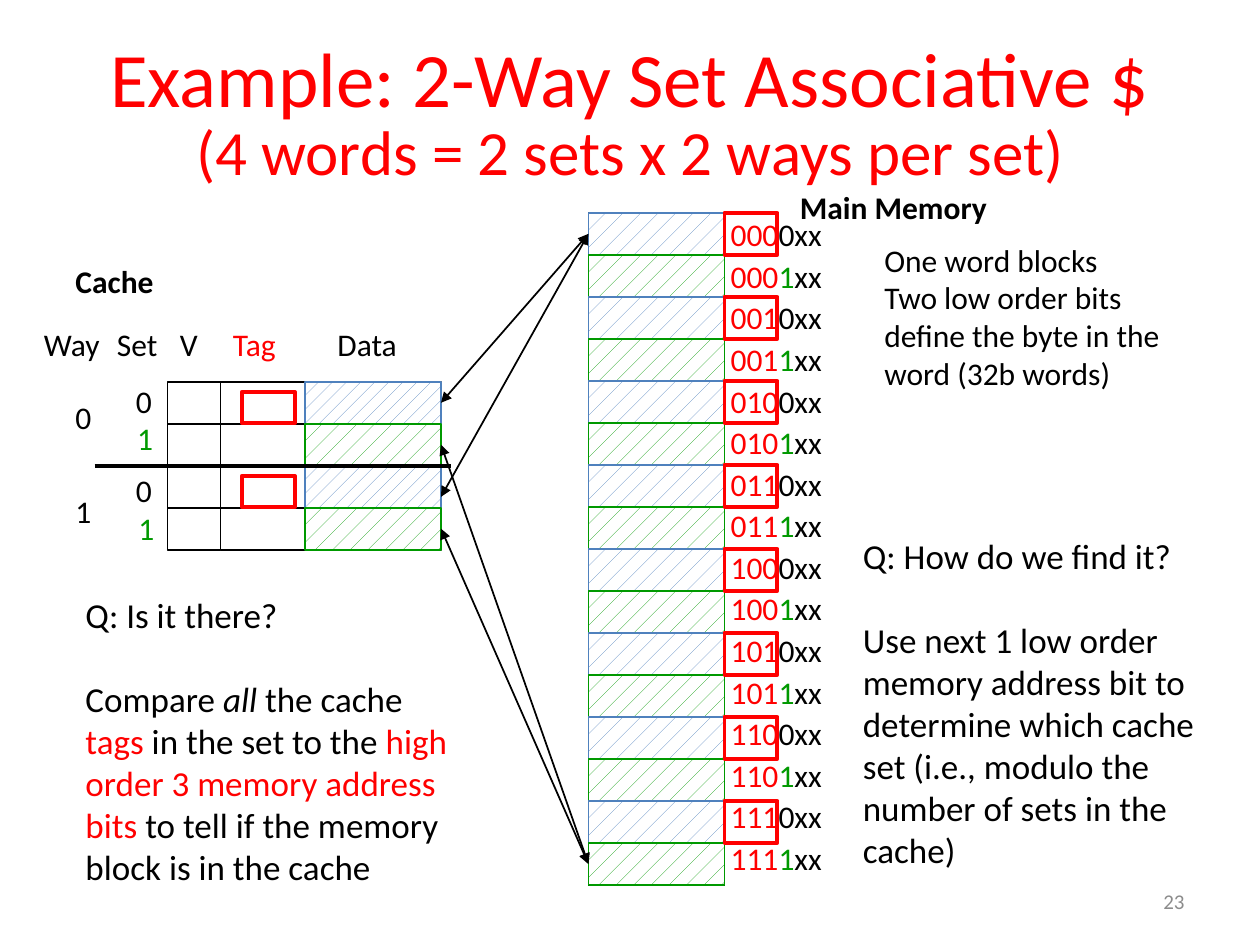
from lxml.etree import SubElement
from pptx import Presentation
from pptx.dml.color import RGBColor
from pptx.enum.dml import MSO_PATTERN
from pptx.enum.shapes import MSO_CONNECTOR, MSO_SHAPE
from pptx.enum.text import MSO_ANCHOR, MSO_AUTO_SIZE, PP_ALIGN
from pptx.oxml.ns import qn
from pptx.util import Inches, Pt

BLACK, RED, GREEN, BLUE, GRAY = "000000", "FF0000", "009900", "4F81BD", "8C8C8C"
FONT = "Calibri"

# Content: a run is a string, or a tuple of string, colour and italic
TITLE = [("Example: 2-Way Set Associative $", 44),
         ("(4 words = 2 sets x 2 ways per set)", 36)]
LABELS = [  # text, left, top, width, colour, bold
    ("Cache", 0.5, 2.03, 0.95, BLACK, True),
    ("Main Memory", 6.25, 1.44, 1.8, BLACK, True),
    ("Way", 0.25, 2.53, 0.7, BLACK, False),
    ("Set", 0.83, 2.53, 0.58, BLACK, False),
    ("V", 1.33, 2.53, 0.37, BLACK, False),
    ("Tag", 1.75, 2.53, 0.55, RED, False),
    ("Data", 2.58, 2.53, 0.73, BLACK, False),
    ("0", 0.5, 3.11, 0.34, BLACK, False),
    ("1", 0.5, 3.86, 0.34, BLACK, False),
    ("0", 0.98, 2.98, 0.34, BLACK, False),
    ("1", 0.99, 3.28, 0.34, GREEN, False),
    ("0", 0.98, 3.69, 0.34, BLACK, False),
    ("1", 1.0, 3.99, 0.34, GREEN, False),
]
FIND_NOTE = [["Q: How do we find it?"],
             ["Use next 1 low order memory address bit to determine which cache "
              "set (i.e., modulo the number of sets in the cache)"]]
THERE_NOTE = [["Q: Is it there?"],
              ["Compare ", ("all", BLACK, True), " the cache ", ("tags ", RED, False),
               "in the set to the ", ("high order 3 memory address bits", RED, False),
               " to tell if the memory block is in the cache"]]
WORD_NOTE = [["One word blocks"],
             ["Two low order bits define the byte in the word (32b words)"]]

# Geometry in inches
ROW = 1 / 3
MEMORY_TOP, MEMORY_LEFT, MEMORY_ROWS = 1.69, 4.67, 16
CACHE_TOP, CACHE_ROWS = 3.03, 4
DATA_LEFT, DATA_WIDTH = 2.42, 1.08
MEMORY_RIGHT = MEMORY_LEFT + DATA_WIDTH
CACHE_COLUMNS = [(1.33, 0.42), (1.75, 0.67), (DATA_LEFT, DATA_WIDTH)]
TAG_WIDTH = 0.42

presentation = Presentation()
presentation.slide_width, presentation.slide_height = Inches(10), Inches(7.5)
slide = presentation.slides.add_slide(presentation.slide_layouts[5])


def color(value):
    return RGBColor.from_string(value)


def place(shape, left, top, width, height):
    shape.left, shape.top = Inches(left), Inches(top)
    shape.width, shape.height = Inches(width), Inches(height)


def add_run(paragraph, text, size, fill=BLACK, bold=None, italic=None):
    run = paragraph.add_run()
    run.text = text
    font = run.font
    font.name, font.size, font.bold, font.italic = FONT, Pt(size), bold, italic
    font.color.rgb = color(fill)


def add_text(paragraphs, left, top, width, height, size=18, fill=BLACK, bold=None,
             wrap=True, gap=0, line_spacing=None, align=None, anchor=None, grow=True):
    box = slide.shapes.add_textbox(*map(Inches, (left, top, width, height)))
    frame = box.text_frame
    frame.word_wrap = wrap
    frame.auto_size = MSO_AUTO_SIZE.SHAPE_TO_FIT_TEXT if grow else MSO_AUTO_SIZE.NONE
    if anchor is not None:
        frame.vertical_anchor = anchor
    for index, runs in enumerate(paragraphs):
        paragraph = frame.add_paragraph() if index else frame.paragraphs[0]
        paragraph.alignment = align
        if line_spacing:
            paragraph.line_spacing = line_spacing
        if index and gap:
            paragraph.space_before = Pt(gap)
        for item in runs:
            text, run_fill, italic = (item, fill, None) if isinstance(item, str) else item
            add_run(paragraph, text, size, run_fill, bold, italic)


def add_box(left, top, width, height, line=BLACK, weight=1, pattern=None):
    box = slide.shapes.add_shape(MSO_SHAPE.RECTANGLE,
                                 *map(Inches, (left, top, width, height)))
    box.shadow.inherit = False
    if pattern is None:
        box.fill.background()
    else:
        box.fill.patterned()
        box.fill.pattern = pattern
        box.fill.fore_color.rgb = color(line)
        box.fill.back_color.rgb = color("FFFFFF")
    box.line.color.rgb = color(line)
    box.line.width = Pt(weight)
    return box


def add_line(x1, y1, x2, y2, weight=1, arrows=False):
    line = slide.shapes.add_connector(MSO_CONNECTOR.STRAIGHT,
                                      *map(Inches, (x1, y1, x2, y2)))
    line.line.color.rgb = color(BLACK)
    line.line.width = Pt(weight)
    if arrows:
        for end in ("a:headEnd", "a:tailEnd"):
            SubElement(line.line._get_or_add_ln(), qn(end), type="triangle")
    SubElement(line._element.spPr, qn("a:effectLst"))
    return line


# Title
title = slide.shapes.title
place(title, 0.5, 0.3, 9, 1.25)
title.text_frame.vertical_anchor = MSO_ANCHOR.MIDDLE
heading = title.text_frame.paragraphs[0]
heading.alignment = PP_ALIGN.CENTER
heading.line_spacing = 0.85
for number, (words, points) in enumerate(TITLE):
    if number:
        heading.add_line_break()
    add_run(heading, words, points, RED)

# Cache grid
for left, width in CACHE_COLUMNS:
    add_box(left, CACHE_TOP, width, CACHE_ROWS * ROW)
    for row in range(1, CACHE_ROWS):
        add_line(left, CACHE_TOP + row * ROW, left + width, CACHE_TOP + row * ROW)

# Memory grid
memory_bottom = MEMORY_TOP + MEMORY_ROWS * ROW
for row in range(MEMORY_ROWS + 1):
    add_line(MEMORY_LEFT, MEMORY_TOP + row * ROW, MEMORY_RIGHT, MEMORY_TOP + row * ROW)
for x in (MEMORY_LEFT, MEMORY_RIGHT):
    add_line(x, MEMORY_TOP, x, memory_bottom)


# Hatched blocks: even rows belong to set 0, odd rows to set 1
def add_blocks(left, top, rows, even_pattern):
    blocks = []
    for row in range(rows):
        line, pattern = (GREEN, MSO_PATTERN.PERCENT_5) if row % 2 else (BLUE, even_pattern)
        blocks.append(add_box(left, top + row * ROW, DATA_WIDTH, ROW, line, pattern=pattern))
    return blocks


memory = add_blocks(MEMORY_LEFT, MEMORY_TOP, MEMORY_ROWS, MSO_PATTERN.PERCENT_5)
cache = add_blocks(DATA_LEFT, CACHE_TOP, CACHE_ROWS, MSO_PATTERN.PERCENT_10)

# Way divider
divider = CACHE_TOP + 2 * ROW
add_line(0.75, divider, 3.58, divider, weight=2.25)

# Arrows from the first and last memory blocks to both ways of their set
for memory_row, cache_row in ((0, 0), (0, 2), (15, 1), (15, 3)):
    # The arrow into way 1, set 0 ends a little below the middle
    offset = 0.08 if cache_row == 2 else 0
    arrow = add_line(MEMORY_LEFT, MEMORY_TOP + (memory_row + 0.5) * ROW,
                     DATA_LEFT + DATA_WIDTH,
                     CACHE_TOP + (cache_row + 0.5) * ROW + offset, arrows=True)
    arrow.begin_connect(memory[memory_row], 1)
    if not offset:
        arrow.end_connect(cache[cache_row], 3)

# Memory addresses: three tag bits, one set bit, two byte bits
addresses = []
for row in range(MEMORY_ROWS):
    tag = (f"{row // 2:03b}", RED, None)
    addresses.append([tag, ("1", GREEN, None), "xx"] if row % 2 else [tag, "0xx"])
add_text(addresses, 5.7, 1.63, 1.08, 5.43, line_spacing=1.1)

# Tag frames
for row in range(0, MEMORY_ROWS, 2):
    add_box(MEMORY_RIGHT, MEMORY_TOP + row * ROW, TAG_WIDTH, ROW, RED, 2.25)
for row in (0, 2):
    add_box(1.92, CACHE_TOP + row * ROW + 0.08, TAG_WIDTH, 0.25, RED, 2.25)

# Labels and notes
for text, left, top, width, fill, bold in LABELS:
    add_text([[text]], left, top, width, 0.4, fill=fill, bold=bold, wrap=False)
add_text(FIND_NOTE, 6.75, 4.19, 3, 2.77, size=20, gap=24)
add_text(THERE_NOTE, 0.58, 4.66, 3.08, 2.46, size=20, gap=24)
add_text(WORD_NOTE, 6.92, 1.86, 2.67, 1.31)

# Slide number
add_text([["23"]], 7.17, 6.95, 2.33, 0.4, size=12, fill=GRAY,
         align=PP_ALIGN.RIGHT, anchor=MSO_ANCHOR.MIDDLE, grow=False)

presentation.save("out.pptx")
